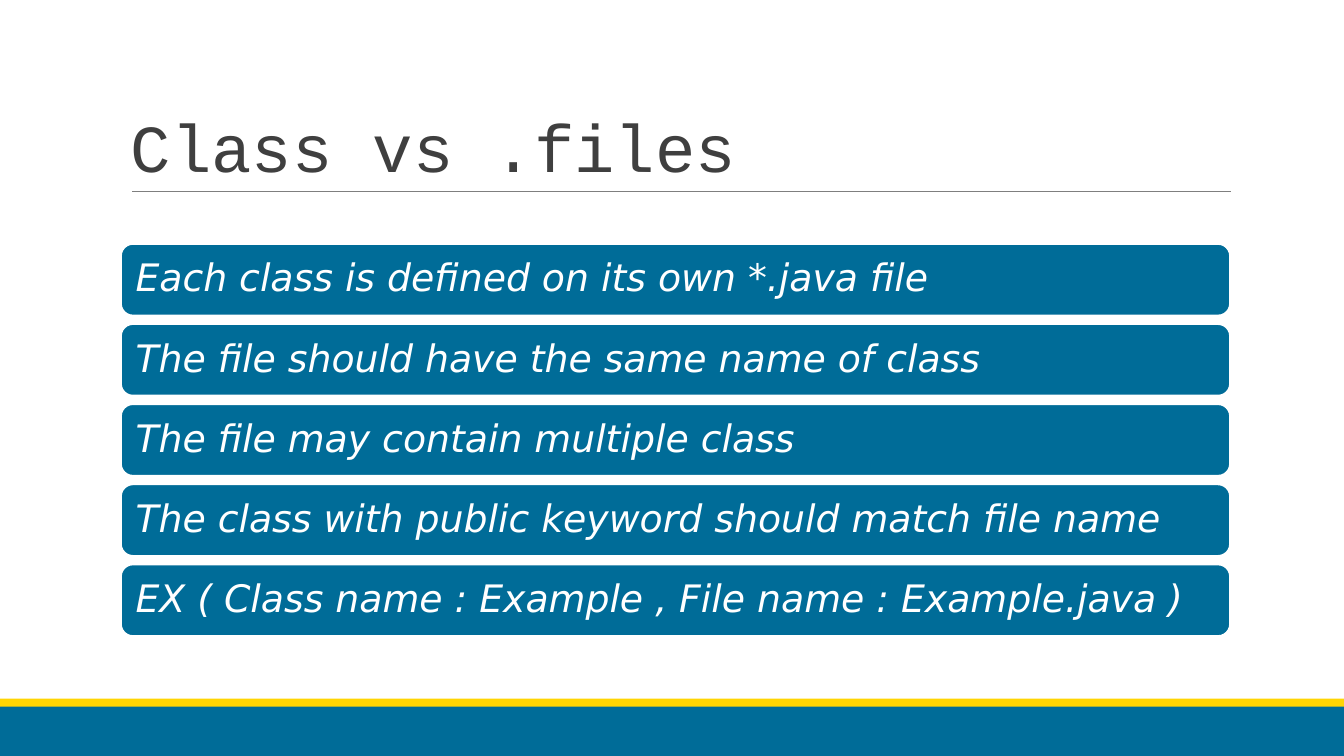
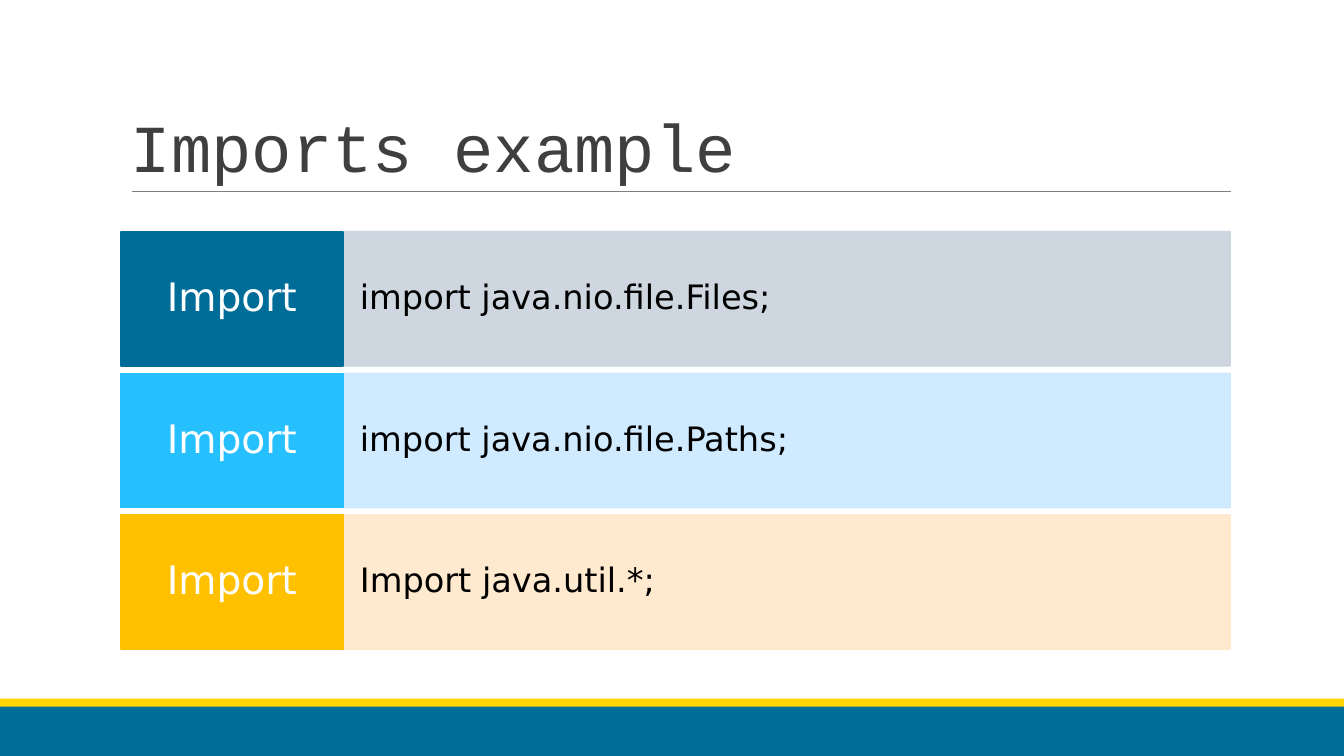
from dataclasses import dataclass

from lxml.etree import SubElement
from pptx import Presentation
from pptx.dml.color import RGBColor
from pptx.enum.shapes import MSO_CONNECTOR as Connector, MSO_SHAPE as Preset
from pptx.enum.text import MSO_ANCHOR as Anchor, PP_ALIGN as Align
from pptx.oxml.ns import qn
from pptx.util import Inches, Pt

COLORS = {
    "blue": "006C98", "sky": "27C0FF", "amber": "FFC000", "yellow": "FFD503",
    "pale_blue": "C9D3DD", "pale_sky": "CBE8FF", "pale_amber": "FFE8CA",
    "rule": "7F7F7F", "title": "3F3F3F", "white": "FFFFFF", "black": "000000",
}
SLIDE_W, SLIDE_H = 13.33, 7.5
LEFT, CONTENT_W = 1.2, 11
LABEL_W = CONTENT_W / 5


@dataclass(frozen=True)
class Box:
    left: float
    top: float
    width: float
    height: float

    def lengths(self) -> tuple:
        return tuple(Inches(v) for v in (self.left, self.top, self.width, self.height))


@dataclass(frozen=True)
class TextStyle:
    size: float
    color: str
    margins: tuple[float, float]  # horizontal, vertical
    font: str = "DejaVu Sans"
    italic: bool = False
    align: Align = Align.LEFT
    anchor: Anchor = Anchor.MIDDLE
    spacing: float = 0.9


@dataclass(frozen=True)
class ImportRow:
    statement: str
    label_color: str
    statement_color: str


TITLE = TextStyle(48, "title", (0.1, 0.05), "Courier New", anchor=Anchor.BOTTOM, spacing=0.85)
RULE = TextStyle(27, "white", (0.11, 0.11), italic=True)
LABEL = TextStyle(28, "white", (0.12, 0.13), align=Align.CENTER)
STATEMENT = TextStyle(24, "black", (0.17, 0.34))

FILE_RULES = [
    "Each class is defined on its own *.java file",
    "The file should have the same name of class",
    "The file may contain multiple class",
    "The class with public keyword should match file name",
    "EX ( Class name : Example , File name : Example.java )",
]
IMPORTS = [
    ImportRow("import java.nio.file.Files;", "blue", "pale_blue"),
    ImportRow("import java.nio.file.Paths;", "sky", "pale_sky"),
    ImportRow("Import java.util.*;", "amber", "pale_amber"),
]


def rgb(name: str) -> RGBColor:
    return RGBColor.from_string(COLORS[name])


def stack(count: int, top: float, bottom: float, height: float) -> list[Box]:
    """Full-width rows spread evenly between top and bottom."""
    pitch = (bottom - top - height) / (count - 1)
    return [Box(LEFT, top + i * pitch, CONTENT_W, height) for i in range(count)]


def write(shape, text: str, style: TextStyle) -> None:
    frame = shape.text_frame
    frame.word_wrap = True
    frame.vertical_anchor = style.anchor
    across, down = (Inches(m) for m in style.margins)
    frame.margin_left = frame.margin_right = across
    frame.margin_top = frame.margin_bottom = down
    paragraph = frame.paragraphs[0]
    paragraph.alignment = style.align
    paragraph.line_spacing = style.spacing
    run = paragraph.add_run()
    run.text = text
    run.font.name = style.font
    run.font.size = Pt(style.size)
    run.font.italic = style.italic
    run.font.color.rgb = rgb(style.color)


def add_panel(slide, box: Box, fill: str, line: str | None = None,
              preset: Preset = Preset.RECTANGLE, opacity: int = 100):
    panel = slide.shapes.add_shape(preset, *box.lengths())
    panel.shadow.inherit = False
    panel.fill.solid()
    panel.fill.fore_color.rgb = rgb(fill)
    if line:
        panel.line.color.rgb = rgb(line)
        panel.line.width = Pt(1.25)
    else:
        panel.line.fill.background()
    if opacity < 100:
        for color in panel.element.spPr.iter(qn("a:srgbClr")):
            SubElement(color, qn("a:alpha"), val=str(opacity * 1000))
    return panel


def add_titled_slide(deck, title: str):
    slide = deck.slides.add_slide(deck.slide_layouts[6])
    # Footer bands
    add_panel(slide, Box(0, 7, SLIDE_W, 0.5), "blue")
    add_panel(slide, Box(0, 6.93, SLIDE_W, 0.08), "yellow")
    # Title and the rule under it
    underline = slide.shapes.add_connector(
        Connector.STRAIGHT, Inches(1.31), Inches(1.9), Inches(12.21), Inches(1.9))
    underline.line.color.rgb = rgb("rule")
    underline.line.width = Pt(0.75)
    SubElement(underline.element.spPr, qn("a:effectLst"))
    heading = slide.shapes.add_textbox(*Box(LEFT, 0.31, CONTENT_W, 1.59).lengths())
    write(heading, title, TITLE)
    return slide


def build_file_rules(deck) -> None:
    slide = add_titled_slide(deck, "Class vs .files")
    for box, text in zip(stack(len(FILE_RULES), 2.42, 6.31, 0.71), FILE_RULES):
        bar = add_panel(slide, box, "blue", "white", Preset.ROUNDED_RECTANGLE)
        write(bar, text, RULE)


def build_imports(deck) -> None:
    slide = add_titled_slide(deck, "Imports example")
    for box, row in zip(stack(len(IMPORTS), 2.3, 6.44, 1.33), IMPORTS):
        statement_box = Box(LEFT + LABEL_W, box.top, CONTENT_W - LABEL_W, box.height)
        statement = add_panel(slide, statement_box, row.statement_color,
                              row.statement_color, opacity=90)
        write(statement, row.statement, STATEMENT)
        label_box = Box(LEFT, box.top, LABEL_W, box.height)
        label = add_panel(slide, label_box, row.label_color, row.label_color)
        write(label, "Import", LABEL)


def main() -> None:
    deck = Presentation()
    deck.slide_width, deck.slide_height = Inches(SLIDE_W), Inches(SLIDE_H)
    build_file_rules(deck)
    build_imports(deck)
    deck.save("out.pptx")


if __name__ == "__main__":
    main()
